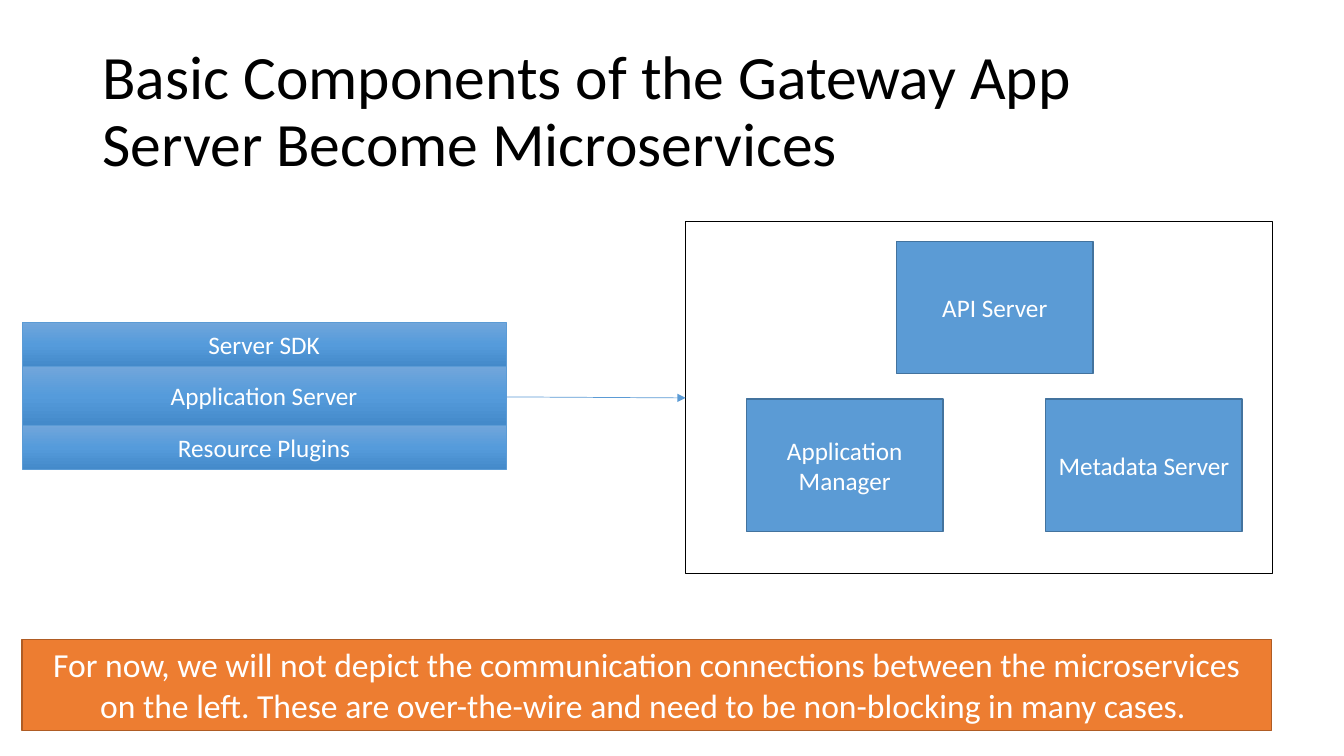
from copy import deepcopy

from lxml.etree import SubElement
from pptx import Presentation
from pptx.dml.color import RGBColor
from pptx.enum.shapes import MSO_CONNECTOR as CONNECTOR, MSO_SHAPE as SHAPE
from pptx.enum.text import MSO_ANCHOR as ANCHOR, PP_ALIGN as ALIGN
from pptx.oxml.ns import qn
from pptx.util import Pt

PX = 9525
FONT = "Calibri"
WHITE = RGBColor(0xFF, 0xFF, 0xFF)
BLACK = RGBColor(0x00, 0x00, 0x00)
BLUE = RGBColor(0x5B, 0x9B, 0xD5)
DARK_BLUE = RGBColor(0x43, 0x73, 0x9E)
ORANGE = RGBColor(0xED, 0x7D, 0x31)
DARK_ORANGE = RGBColor(0xAF, 0x5C, 0x24)
LAYER_STOPS = (
    (0, RGBColor(0x71, 0xA6, 0xDB)),
    (0.5, RGBColor(0x55, 0x9B, 0xDB)),
    (1, RGBColor(0x44, 0x8A, 0xCA)),
)


def emu(*lengths):
    """Turn px lengths into EMU."""
    return [length * PX for length in lengths]


def write(holder, text, size, color=WHITE, align=ALIGN.CENTER, anchor=ANCHOR.MIDDLE):
    """Put one styled paragraph into a shape and return it."""
    frame = holder.text_frame
    frame.word_wrap = True
    frame.vertical_anchor = anchor
    paragraph = frame.paragraphs[0]
    paragraph.text = text
    paragraph.alignment = align
    paragraph.font.name = FONT
    paragraph.font.size = Pt(size)
    paragraph.font.color.rgb = color
    return paragraph


def add_box(slide, box, fill, line, line_width=1):
    """Add a rectangle, hollow or filled with one colour."""
    rectangle = slide.shapes.add_shape(SHAPE.RECTANGLE, *emu(*box))
    rectangle.shadow.inherit = False
    if fill is None:
        rectangle.fill.background()
    else:
        rectangle.fill.solid()
        rectangle.fill.fore_color.rgb = fill
    rectangle.line.color.rgb = line
    rectangle.line.width = Pt(line_width)
    return rectangle


def shade(layer):
    """Give a layer its three-stop gradient, light at the top."""
    fill = layer.fill
    fill.gradient()
    fill.gradient_angle = 270
    stop_list = layer.element.spPr.find(qn("a:gradFill")).find(qn("a:gsLst"))
    stop_list.insert(1, deepcopy(stop_list[0]))
    for stop, (position, color) in zip(fill.gradient_stops, LAYER_STOPS):
        stop.position = position
        stop.color.rgb = color


def add_title(slide, box, text):
    """Write the slide title."""
    title = slide.shapes.add_textbox(*emu(*box))
    write(title, text, 44, BLACK, ALIGN.LEFT).line_spacing = 0.9


def add_server_stack(slide, box):
    """Stack the server layers, the middle one taking the spare height."""
    left, top, width, height = box
    thin = 42
    layers = (
        ("Server SDK", thin),
        ("Application Server", height - 2 * thin),
        ("Resource Plugins", thin),
    )
    for name, layer_height in layers:
        layer = add_box(slide, (left, top, width, layer_height), BLUE, BLUE, 0.5)
        shade(layer)
        write(layer, name, 18)
        top += layer_height


def add_microservices(slide, box):
    """Frame the three microservices."""
    left, top, width, height = box
    services = (
        ("API Server", 201, 19),
        ("Application\u0020Manager", 58, 169),
        ("Metadata Server", 343, 169),
    )
    for name, across, down in services:
        service = add_box(slide, (left + across, top + down, 187, 126), BLUE, DARK_BLUE)
        write(service, name, 18)
    add_box(slide, box, None, BLACK)


def add_arrow(slide, stack, services):
    """Point from the middle of the stack to the middle of the services."""
    start = (stack[0] + stack[2], stack[1] + stack[3] // 2 + 1)
    end = (services[0], services[1] + services[3] // 2 + 1)
    arrow = slide.shapes.add_connector(CONNECTOR.STRAIGHT, *emu(*start, *end))
    arrow.line.color.rgb = BLUE
    arrow.line.width = Pt(0.5)
    SubElement(arrow.line._get_or_add_ln(), qn("a:tailEnd"), type="triangle")
    SubElement(arrow.element.spPr, qn("a:effectLst"))


def add_note(slide, box, text):
    """Add the orange remark at the foot."""
    note = add_box(slide, box, ORANGE, DARK_ORANGE)
    write(note, text, 24, anchor=ANCHOR.TOP)


def main():
    """Build and save the slide."""
    deck = Presentation()
    deck.slide_width, deck.slide_height = emu(1280, 720)
    slide = deck.slides.add_slide(deck.slide_layouts[6])
    stack = (21, 307, 461, 140)
    services = (653, 211, 559, 335)
    add_server_stack(slide, stack)
    add_microservices(slide, services)
    add_arrow(slide, stack, services)
    add_title(
        slide,
        (88, 38, 1104, 139),
        "Basic Components of the Gateway App Server Become Microservices",
    )
    add_note(
        slide,
        (21, 609, 1190, 87),
        "For now, we will not depict the communication connections between the "
        "microservices on the left. These are over-the-wire and need to be "
        "non-blocking in many cases. ",
    )
    deck.save("out.pptx")


if __name__ == "__main__":
    main()
